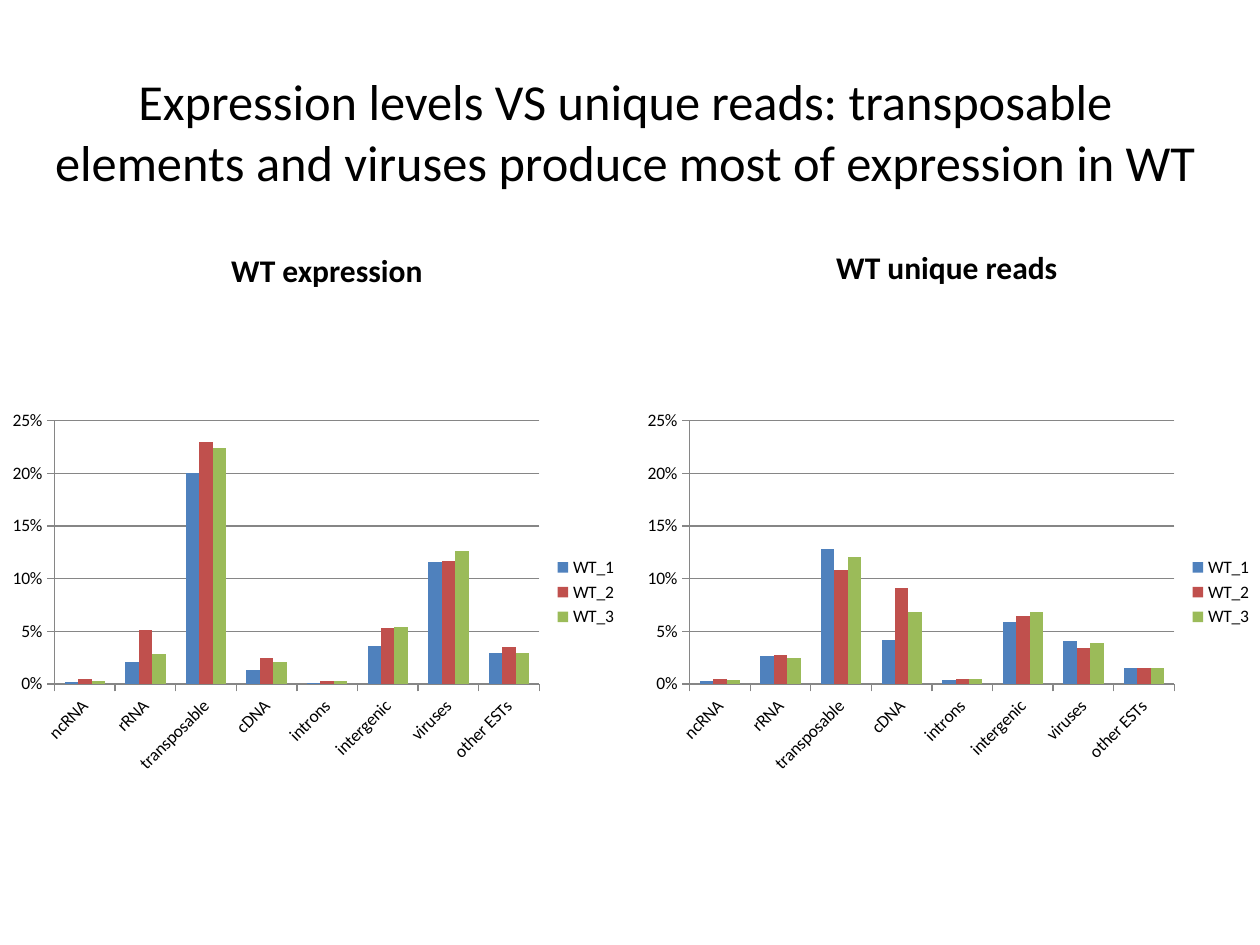
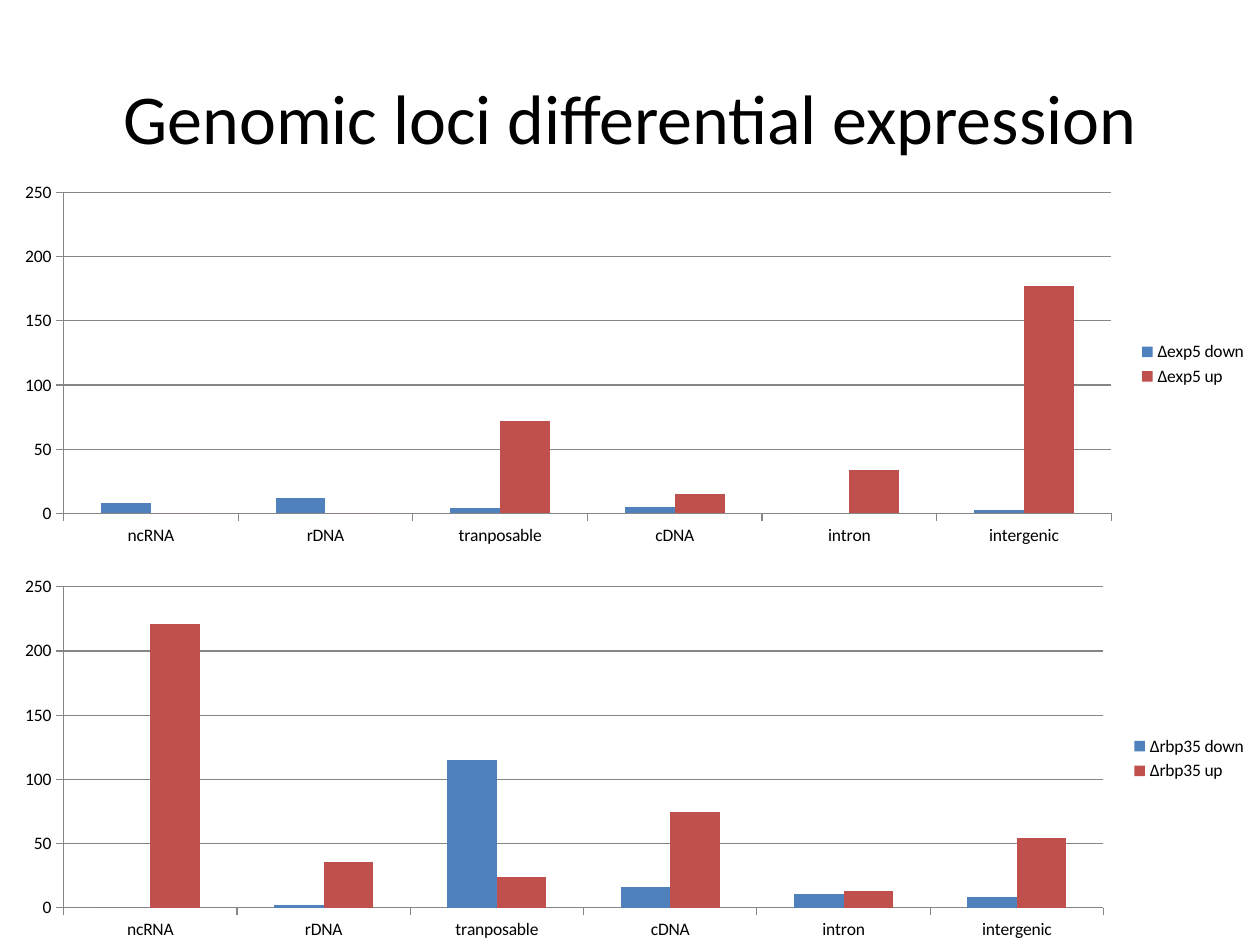
from pptx import Presentation
from pptx.chart.data import CategoryChartData
from pptx.dml.color import RGBColor
from pptx.enum.chart import XL_CHART_TYPE as CT, XL_LEGEND_POSITION as LP, XL_TICK_MARK as TM
from pptx.enum.text import MSO_ANCHOR, MSO_AUTO_SIZE, PP_ALIGN
from pptx.util import Inches, Pt

BLACK = RGBColor(0x00, 0x00, 0x00)
GREY = RGBColor(0x86, 0x86, 0x86)
BLUE = RGBColor(0x4F, 0x81, 0xBD)
RED = RGBColor(0xC0, 0x50, 0x4D)
GREEN = RGBColor(0x9B, 0xBB, 0x59)
SERIES_COLORS = [BLUE, RED, GREEN]
FONT = "Calibri"
CHART_H = 3

READ_CATS = ["ncRNA", "rRNA", "transposable", "cDNA", "introns", "intergenic", "viruses", "other ESTs"]
LOCI_CATS = ["ncRNA", "rDNA", "tranposable", "cDNA", "intron", "intergenic"]

EXPRESSION = {
    "WT_1": [0.002, 0.021, 0.2, 0.013, 0.001, 0.036, 0.116, 0.029],
    "WT_2": [0.005, 0.051, 0.23, 0.025, 0.003, 0.053, 0.117, 0.035],
    "WT_3": [0.003, 0.028, 0.224, 0.021, 0.003, 0.054, 0.126, 0.029],
}
UNIQUE_READS = {
    "WT_1": [0.003, 0.026, 0.128, 0.042, 0.004, 0.059, 0.041, 0.015],
    "WT_2": [0.005, 0.027, 0.108, 0.091, 0.005, 0.064, 0.034, 0.015],
    "WT_3": [0.004, 0.025, 0.12, 0.068, 0.005, 0.068, 0.039, 0.015],
}
EXP5 = {
    "∆exp5 down": [8, 12, 4, 5, 0, 3],
    "∆exp5 up": [0, 0, 72, 15, 34, 177],
}
RBP35 = {
    "∆rbp35 down": [0, 2, 115, 16, 11, 8],
    "∆rbp35 up": [221, 36, 24, 75, 13, 54],
}

SLIDES = [
    {
        "title": "Expression levels VS unique reads: transposable elements and viruses "
                 "produce most of expression in WT",
        "title_box": (0.2, 0.3, 9.53, 1.48), "title_size": 28.8,
        "labels": [("WT expression", (1.73, 1.94, 1.73, 0.4)),
                   ("WT unique reads", (6.53, 1.92, 1.97, 0.4))],
        "cats": READ_CATS, "chart_w": 5, "max": 0.25, "step": 0.05, "format": "0%", "angle": -45,
        "charts": [(0, 3.2, EXPRESSION), (5.04, 3.2, UNIQUE_READS)],
    },
    {
        "title": "Genomic loci differential expression",
        "title_box": (0.5, 0.3, 9, 1.25), "title_size": 40,
        "labels": [],
        "cats": LOCI_CATS, "chart_w": 10, "max": 250, "step": 50, "format": "General", "angle": 0,
        "charts": [(0, 1.39, EXP5), (0, 4.52, RBP35)],
    },
]


def style_font(font, size, bold=False):
    font.name, font.size, font.bold = FONT, Pt(size), bold
    font.color.rgb = BLACK


def add_title(s, text, box, size):
    sp = s.shapes.title
    sp.left, sp.top, sp.width, sp.height = map(Inches, box)
    tf = sp.text_frame
    tf.text = text
    tf.auto_size = MSO_AUTO_SIZE.NONE
    tf.vertical_anchor = MSO_ANCHOR.MIDDLE
    p = tf.paragraphs[0]
    p.alignment = PP_ALIGN.CENTER
    style_font(p.font, size)


def add_label(s, text, box):
    tf = s.shapes.add_textbox(*map(Inches, box)).text_frame
    tf.text = text
    tf.word_wrap = False
    tf.auto_size = MSO_AUTO_SIZE.SHAPE_TO_FIT_TEXT
    p = tf.paragraphs[0]
    p.alignment = PP_ALIGN.CENTER
    style_font(p.font, 18, True)


def add_columns(s, page, left, top, series):
    data = CategoryChartData(number_format=page["format"])
    data.categories = page["cats"]
    for name, values in series.items():
        data.add_series(name, values)
    box = map(Inches, (left, top, page["chart_w"], CHART_H))
    chart = s.shapes.add_chart(CT.COLUMN_CLUSTERED, *box, data).chart
    style_font(chart.font, 10)
    chart.has_title = False
    chart.has_legend = True
    chart.legend.position = LP.RIGHT
    chart.legend.include_in_layout = False

    plot = chart.plots[0]
    plot.gap_width, plot.overlap = 150, 0
    plot.vary_by_categories = False
    for ser, color in zip(plot.series, SERIES_COLORS):
        ser.format.fill.solid()
        ser.format.fill.fore_color.rgb = color
        ser.invert_if_negative = False

    cat_ax, val_ax = chart.category_axis, chart.value_axis
    val_ax.minimum_scale, val_ax.maximum_scale = 0, page["max"]
    val_ax.major_unit = page["step"]
    val_ax.has_major_gridlines = True
    val_ax.tick_labels.number_format = page["format"]
    val_ax.tick_labels.number_format_is_linked = False
    for ax in (cat_ax, val_ax):
        ax.major_tick_mark = TM.OUTSIDE
        style_font(ax.tick_labels.font, 10)
    for part in (cat_ax, val_ax, val_ax.major_gridlines):
        part.format.line.color.rgb = GREY
        part.format.line.width = Pt(0.75)
    if page["angle"]:
        cat_ax._element.txPr.bodyPr.set("rot", str(page["angle"] * 60000))


def main():
    prs = Presentation()
    prs.slide_width, prs.slide_height = Inches(10), Inches(7.5)
    for page in SLIDES:
        s = prs.slides.add_slide(prs.slide_layouts[5])
        add_title(s, page["title"], page["title_box"], page["title_size"])
        for text, box in page["labels"]:
            add_label(s, text, box)
        for left, top, series in page["charts"]:
            add_columns(s, page, left, top, series)
    prs.save("out.pptx")


if __name__ == "__main__":
    main()
